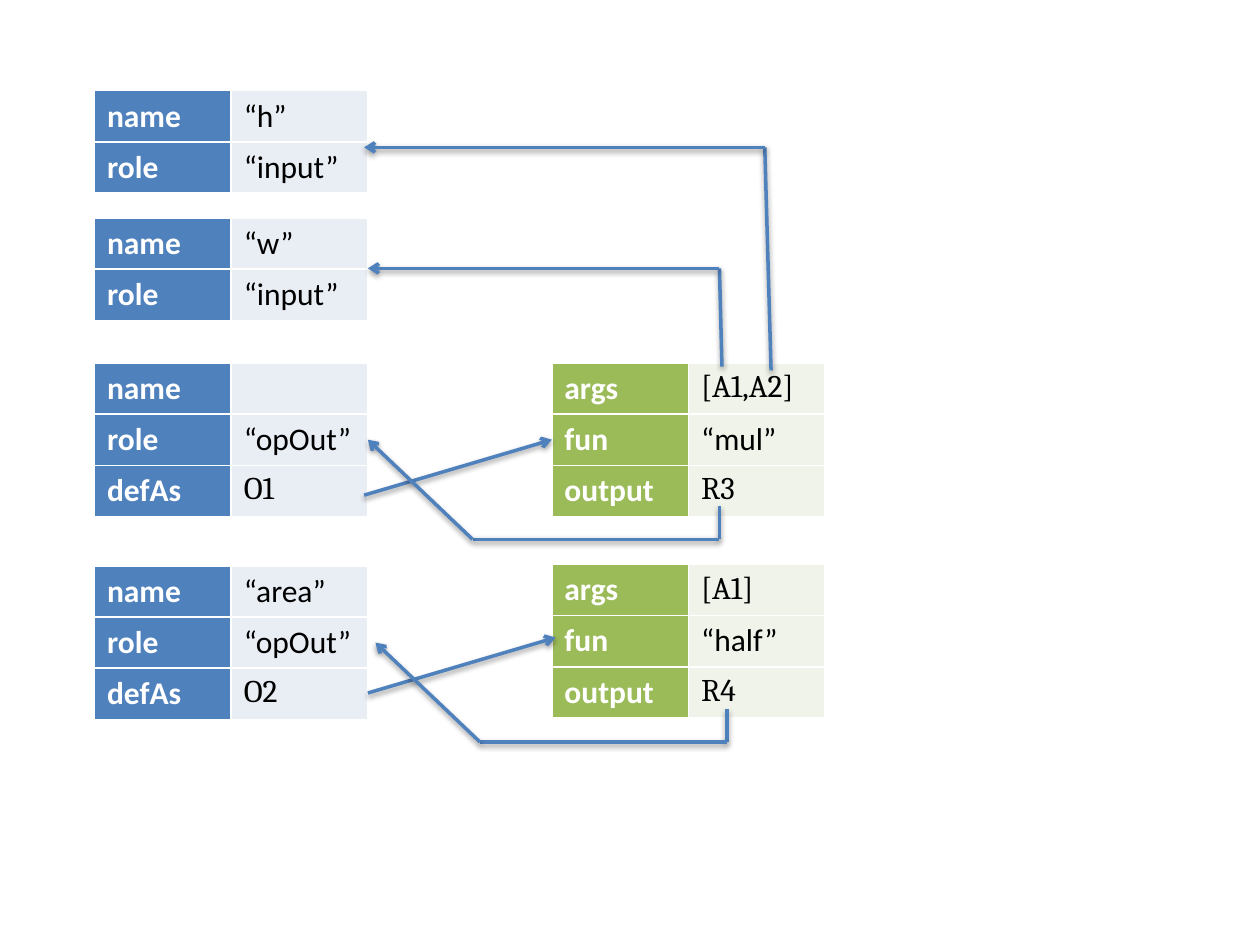
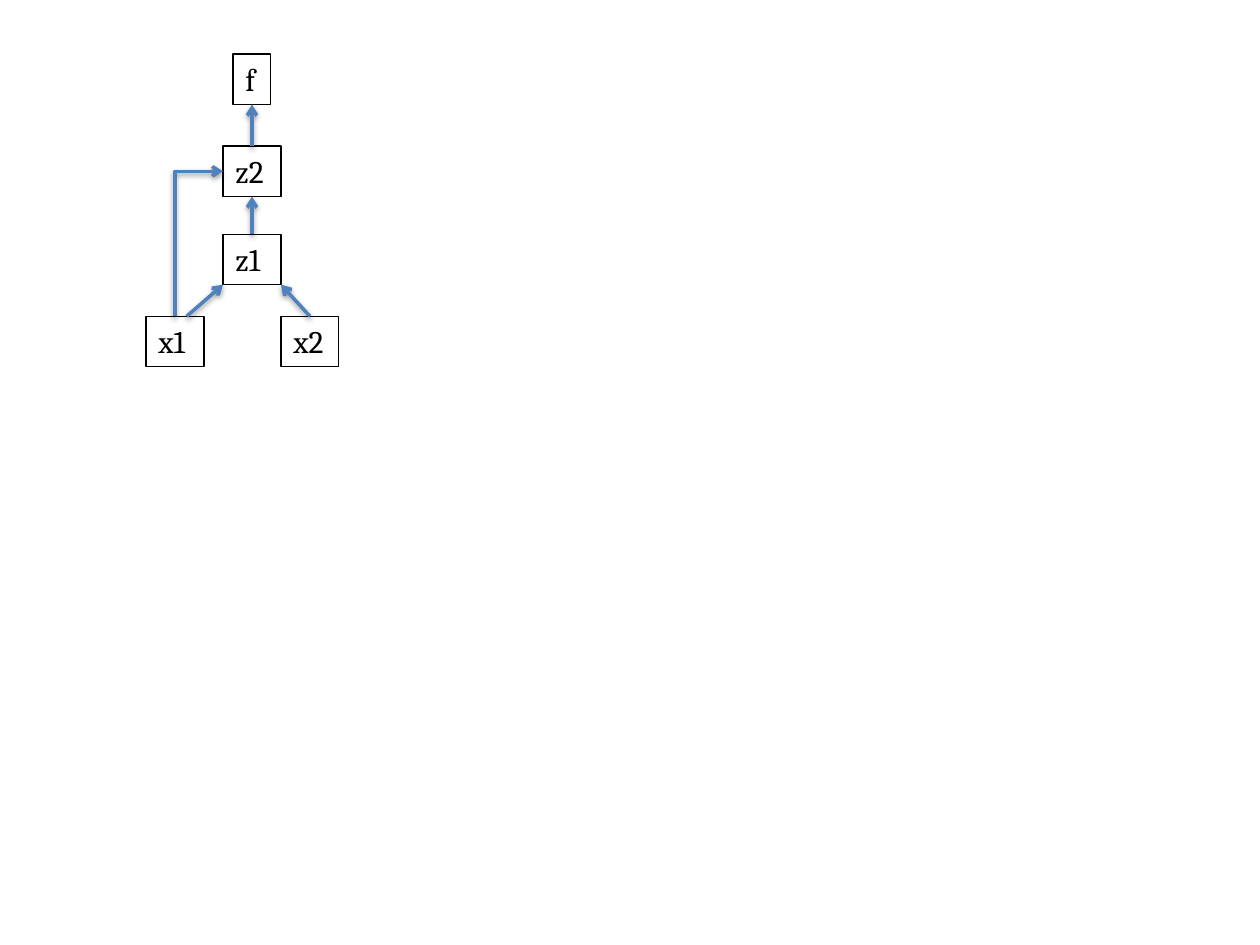
import pptx
import pptx.util
import pptx.dml.color
import pptx.enum.shapes
import pptx.enum.text
import pptx.oxml.ns
import lxml.etree
from dataclasses import dataclass
from itertools import pairwise


@dataclass(frozen=True)
class Theme:
    blue: str = "4F81BD"
    pale_blue: str = "E9EDF4"
    green: str = "9BBB59"
    pale_green: str = "EFF3EA"
    black: str = "000000"
    white: str = "FFFFFF"
    body_font: str = "Calibri"
    code_font: str = "Cambria"
    text_size: float = 18
    cell_border: float = 1
    box_border: float = 0.75
    arrow_width: float = 2


theme = Theme()
SLIDE_WIDTH, SLIDE_HEIGHT = 10, 7.5

NODE_LEFT, OPERATION_LEFT = 0.75, 4.38
TABLE_WIDTH = 2.17
ROW_HEIGHT = 1.22 / 3
NODE_RIGHT = NODE_LEFT + TABLE_WIDTH

NODES = [
    (0.72, [("name", "“h”"), ("role", "“input”")]),
    (1.73, [("name", "“w”"), ("role", "“input”")]),
    (2.88, [("name", ""), ("role", "“opOut”"), ("defAs", "O1")]),
    (4.49, [("name", "“area”"), ("role", "“opOut”"), ("defAs", "O2")]),
]
OPERATIONS = [
    (2.88, [("args", "[A1,A2]"), ("fun", "“mul”"), ("output", "R3")]),
    (4.48, [("args", "[A1]"), ("fun", "“half”"), ("output", "R4")]),
]
ARGUMENT_PATHS = [
    [(5.73, 2.91), (5.71, 2.13), (NODE_RIGHT, 2.13)],
    [(6.12, 2.94), (6.07, 1.17), (2.89, 1.17)],
]
DEFINITION_PATH = [(2.89, 3.93), (4.38, 3.49)]
DEFINITION_SHIFTS = [(0, 0), (0.03, 1.57)]
RESULT_PATH = [(5.71, 4.02), (5.71, 4.28), (3.75, 4.28), (2.92, 3.49)]
RESULT_SHIFTS = [(0, 0), (0.06, 1.61)]

BOX_HEIGHT = 0.4
BOXES = {
    "f": (2, 0.43, 0.3),
    "z2": (2, 1.16, 0.46),
    "z1": (2, 1.86, 0.46),
    "x1": (1.39, 2.51, 0.46),
    "x2": (2.46, 2.51, 0.46),
}


def inches(*lengths):
    return [pptx.util.Inches(length) for length in lengths]


def color(value):
    return pptx.dml.color.RGBColor.from_string(value)


def add_child(parent, tag, **attributes):
    child = lxml.etree.SubElement(parent, pptx.oxml.ns.qn(tag))
    for name, value in attributes.items():
        child.set(name, str(value))
    return child


def style_text(text_frame, font_name, font_color, bold=False):
    for paragraph in text_frame.paragraphs:
        for run in paragraph.runs:
            run.font.name = font_name
            run.font.size = pptx.util.Pt(theme.text_size)
            run.font.bold = bold
            run.font.color.rgb = color(font_color)


def style_cell(cell, text, fill, font_name, font_color, bold):
    cell.text_frame.text = text
    style_text(cell.text_frame, font_name, font_color, bold)
    properties = cell._tc.get_or_add_tcPr()
    for side in ("a:lnL", "a:lnR", "a:lnT", "a:lnB"):
        border = add_child(properties, side, w=pptx.util.Pt(theme.cell_border))
        add_child(add_child(border, "a:solidFill"), "a:srgbClr", val=theme.white)
    cell.fill.solid()
    cell.fill.fore_color.rgb = color(fill)


def add_record(slide, left, top, rows, label_fill, value_fill):
    frame = slide.shapes.add_table(
        len(rows), 2, *inches(left, top, TABLE_WIDTH, ROW_HEIGHT * len(rows)))
    table = frame.table
    table.first_row = False
    table.horz_banding = False
    for index, (label, value) in enumerate(rows):
        value_font = theme.body_font if value.startswith("“") else theme.code_font
        style_cell(table.cell(index, 0), label, label_fill,
                   theme.body_font, theme.white, True)
        style_cell(table.cell(index, 1), value, value_fill,
                   value_font, theme.black, False)


def add_line(shapes, start, end, arrow=False):
    connector = shapes.add_connector(
        pptx.enum.shapes.MSO_CONNECTOR.STRAIGHT, *inches(*start, *end))
    connector.line.color.rgb = color(theme.blue)
    connector.line.width = pptx.util.Pt(theme.arrow_width)
    if arrow:
        add_child(connector.line._get_or_add_ln(), "a:tailEnd", type="arrow")
    effects = add_child(connector._element.spPr, "a:effectLst")
    shadow = add_child(effects, "a:outerShdw", blurRad=40000, dist=20000,
                       dir=5400000, rotWithShape=0)
    add_child(add_child(shadow, "a:srgbClr", val=theme.black), "a:alpha", val=38000)
    return connector


def add_path(shapes, points):
    segments = list(pairwise(points))
    for start, end in segments:
        add_line(shapes, start, end, arrow=end == points[-1])


def add_elbow(shapes, start, end):
    center_x, center_y = (start[0] + end[0]) / 2, (start[1] + end[1]) / 2
    half_run, half_rise = (end[0] - start[0]) / 2, (start[1] - end[1]) / 2
    connector = add_line(shapes, (center_x + half_rise, center_y + half_run),
                         (center_x - half_rise, center_y - half_run), arrow=True)
    properties = connector._element.spPr
    properties.find(pptx.oxml.ns.qn("a:xfrm")).set("rot", "5400000")
    properties.find(pptx.oxml.ns.qn("a:prstGeom")).set("prst", "bentConnector2")


def shifted(points, shift):
    return [(x + shift[0], y + shift[1]) for x, y in points]


def add_box(slide, text, center, top, width):
    box = slide.shapes.add_textbox(*inches(center - width / 2, top, width, BOX_HEIGHT))
    box.line.color.rgb = color(theme.black)
    box.line.width = pptx.util.Pt(theme.box_border)
    box.text_frame.text = text
    box.text_frame.word_wrap = False
    box.text_frame.auto_size = pptx.enum.text.MSO_AUTO_SIZE.SHAPE_TO_FIT_TEXT
    style_text(box.text_frame, theme.code_font, theme.black)


def box_point(name, across, down):
    center, top, width = BOXES[name]
    return center + (across - 0.5) * width, top + down * BOX_HEIGHT


def build_records(slide):
    for top, rows in NODES:
        add_record(slide, NODE_LEFT, top, rows, theme.blue, theme.pale_blue)
    for top, rows in OPERATIONS:
        add_record(slide, OPERATION_LEFT, top, rows, theme.green, theme.pale_green)
    for points in ARGUMENT_PATHS:
        add_path(slide.shapes, points)
    for shift in DEFINITION_SHIFTS:
        add_path(slide.shapes, shifted(DEFINITION_PATH, shift))
    for shift in RESULT_SHIFTS:
        add_path(slide.shapes.add_group_shape().shapes, shifted(RESULT_PATH, shift))


def build_graph(slide):
    for name, place in BOXES.items():
        add_box(slide, name, *place)
    arrows = [
        (box_point("x1", 0.7, 0), box_point("z1", 0, 1)),
        (box_point("x2", 0.5, 0), box_point("z1", 1, 1)),
        (box_point("z1", 0.5, 0), box_point("z2", 0.5, 1)),
        (box_point("z2", 0.5, 0), box_point("f", 0.5, 1)),
    ]
    for start, end in arrows:
        add_line(slide.shapes, start, end, arrow=True)
    add_elbow(slide.shapes, box_point("x1", 0.5, 0), box_point("z2", 0, 0.5))


presentation = pptx.Presentation()
presentation.slide_width, presentation.slide_height = inches(SLIDE_WIDTH, SLIDE_HEIGHT)
for build in (build_records, build_graph):
    build(presentation.slides.add_slide(presentation.slide_layouts[6]))
presentation.save("out.pptx")
